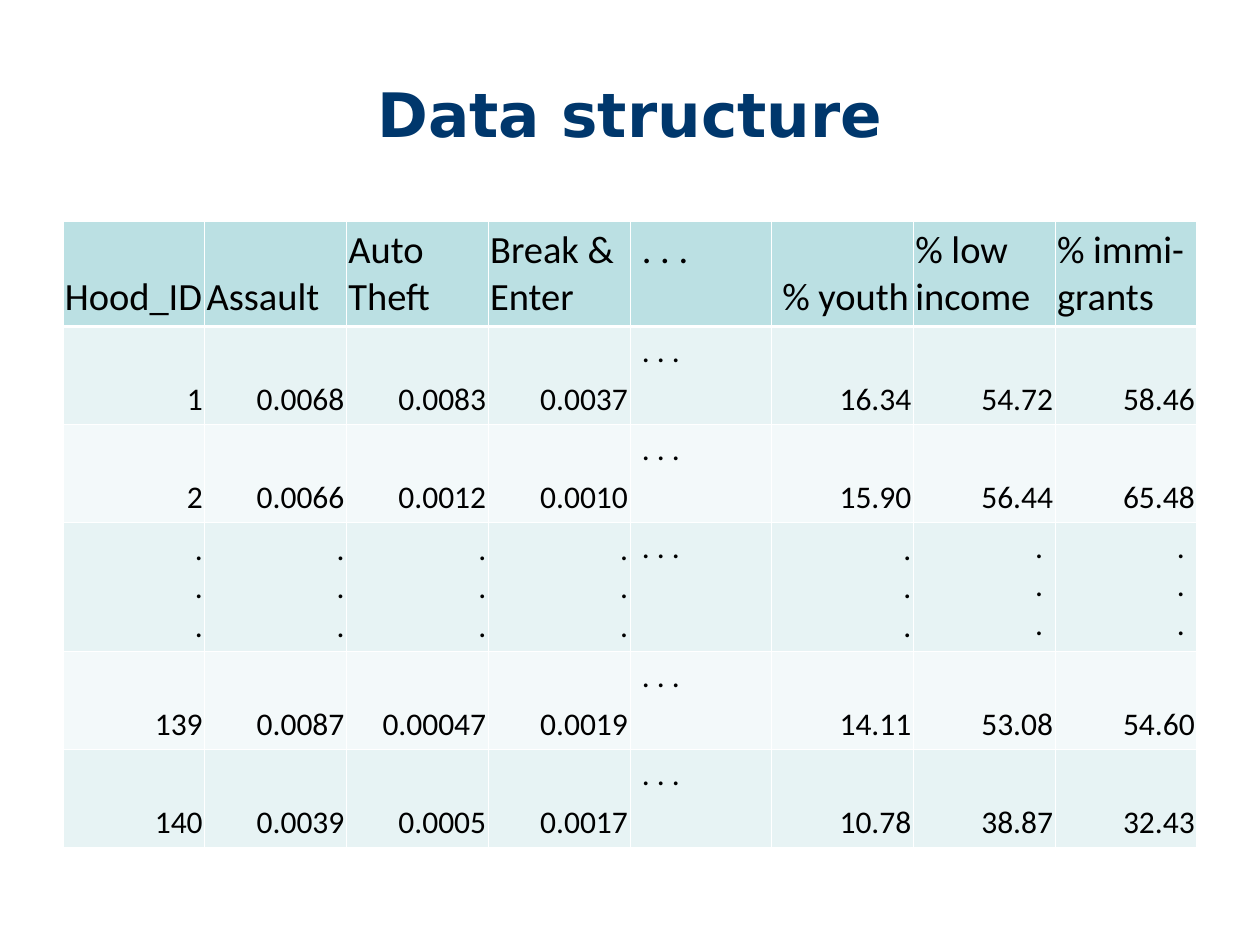
from pptx import Presentation, util as u
from pptx.dml.color import RGBColor
from pptx.enum import text
from pptx.oxml import ns
from lxml import etree

PX = u.Inches(1) // 126
NAVY = RGBColor(0x00, 0x37, 0x6C)
BLACK = RGBColor(0x00, 0x00, 0x00)
WHITE = RGBColor(0xFF, 0xFF, 0xFF)
TEAL = RGBColor(0xBB, 0xE0, 0xE3)
BANDS = [RGBColor(0xE7, 0xF3, 0xF4), RGBColor(0xF3, 0xF9, 0xFA)]

THIN, THICK = 0.45, 1.47
WIDTH = 1134
HEIGHTS = [105, 98, 98, 129, 98, 98]
GAP = ". . ."
DOTS = ".\n.\n."
ROWS = [
    ["Hood_ID", "Assault", "Auto Theft", "Break & Enter", GAP,
     " % youth", "% low income", "% immi- grants"],
    ["1", "0.0068", "0.0083", "0.0037", GAP, "16.34", "54.72", "58.46"],
    ["2", "0.0066", "0.0012", "0.0010", GAP, "15.90", "56.44", "65.48"],
    [DOTS] * 4 + [GAP] + [DOTS] * 3,
    ["139", "0.0087", "0.00047", "0.0019", GAP, "14.11", "53.08", "54.60"],
    ["140", "0.0039", "0.0005", "0.0017", GAP, "10.78", "38.87", "32.43"],
]


def put(item, form):
    for key, val in form.items():
        setattr(item, key, val)


def write(frame, words, align, font):
    frame.text = words
    for para in frame.paragraphs:
        para.alignment = align
        for run in para.runs:
            put(run.font, {k: v for k, v in font.items() if k != "color"})
            run.font.color.rgb = font["color"]


def add_title(slide, words):
    title = slide.shapes.title
    put(title, {"left": 63 * PX, "top": 66 * PX,
                "width": WIDTH * PX, "height": 169 * PX})
    frame = title.text_frame
    put(frame, {"auto_size": text.MSO_AUTO_SIZE.NONE, "word_wrap": True,
                "vertical_anchor": text.MSO_ANCHOR.TOP,
                "margin_top": 10 * PX})
    write(frame, words, text.PP_ALIGN.CENTER,
          {"name": "DejaVu Sans", "size": u.Pt(35), "bold": True,
           "color": NAVY})


def edge(cell, side, width):
    props = cell._tc.get_or_add_tcPr()
    line = etree.SubElement(props, ns.qn("a:ln" + side), w=str(u.Pt(width)))
    fill = etree.SubElement(line, ns.qn("a:solidFill"))
    etree.SubElement(fill, ns.qn("a:srgbClr"), val=str(WHITE))


def fill_cell(cell, row, col, words):
    head = row == 0
    wide = words == GAP or (words == DOTS and col > 5)
    side = (2 if not wide else 12) * PX
    anchor = text.MSO_ANCHOR.TOP if wide else text.MSO_ANCHOR.BOTTOM
    put(cell, {"margin_left": side, "margin_right": side,
               "margin_top": 6 * PX, "margin_bottom": 6 * PX,
               "vertical_anchor": anchor})
    left = head or words == GAP
    write(cell.text_frame, words,
          text.PP_ALIGN.LEFT if left else text.PP_ALIGN.RIGHT,
          {"name": "Calibri", "size": u.Pt(22 if head else 18),
           "bold": False, "color": BLACK})
    for name, width in {"L": THIN, "R": THIN,
                        "T": THICK if row == 1 else THIN,
                        "B": THICK if head else THIN}.items():
        edge(cell, name, width)
    cell.fill.solid()
    cell.fill.fore_color.rgb = TEAL if head else BANDS[(row - 1) % 2]


def add_grid(slide, rows):
    table = slide.shapes.add_table(
        len(rows), len(rows[0]), 63 * PX, 221 * PX,
        WIDTH * PX, sum(HEIGHTS) * PX).table
    put(table, {"first_row": False, "horz_banding": False})
    for col in table.columns:
        col.width = WIDTH * PX // len(rows[0])
    for r, (high, row) in enumerate(zip(HEIGHTS, rows)):
        table.rows[r].height = high * PX
        for c, words in enumerate(row):
            fill_cell(table.cell(r, c), r, c, words)


def main():
    deck = Presentation()
    put(deck, {"slide_width": u.Inches(10), "slide_height": u.Inches(7.5)})
    slide = deck.slides.add_slide(deck.slide_layouts[5])
    add_title(slide, "Data structure")
    add_grid(slide, ROWS)
    deck.save("out.pptx")


if __name__ == "__main__":
    main()
